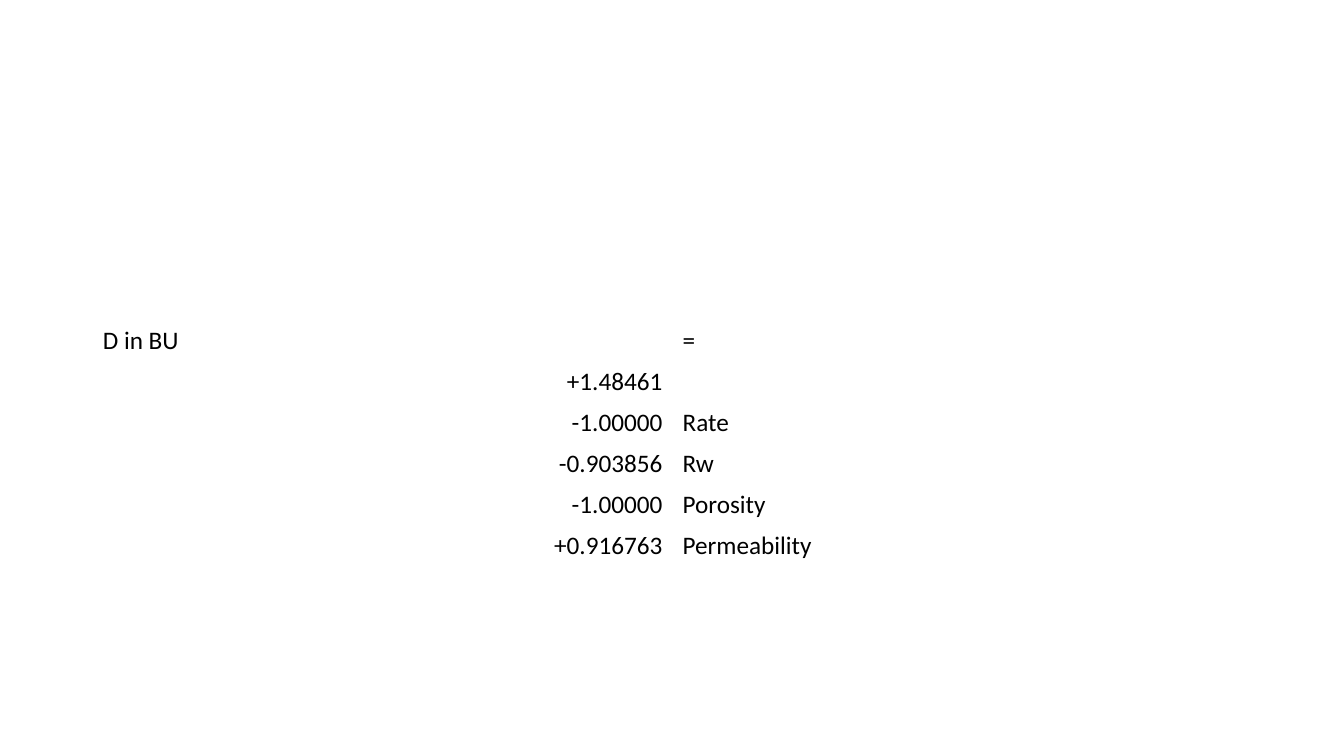
from pptx import Presentation
from pptx.dml.color import RGBColor
from pptx.enum.text import MSO_ANCHOR, PP_ALIGN
from pptx.util import Inches, Pt

# Content: coefficient and the variable it multiplies
HEADING = ("D in BU", "=")
TERMS = [
    ("+1.48461", ""),
    ("-1.00000", "Rate"),
    ("-0.903856", "Rw"),
    ("-1.00000", "Porosity"),
    ("+0.916763", "Permeability"),
]

# Format and grid
BLACK = RGBColor(0x00, 0x00, 0x00)
WHITE = RGBColor(0xFF, 0xFF, 0xFF)
LEFT, TOP = 0.92, 3.18
COLUMN_WIDTH, ROW_HEIGHT = 5.75, 0.4


def write_cell(cell, text, align=PP_ALIGN.LEFT, size=18, color=BLACK, fill=WHITE):
    cell.fill.solid()
    cell.fill.fore_color.rgb = fill
    cell.vertical_anchor = MSO_ANCHOR.MIDDLE
    para = cell.text_frame.paragraphs[0]
    para.alignment = align
    para.font.size = Pt(size)
    if text:
        span = para.add_run()
        span.text = text
        span.font.name = "Calibri"
        span.font.size = Pt(size)
        span.font.bold = False
        span.font.color.rgb = color


# Slide
deck = Presentation()
deck.slide_width, deck.slide_height = Inches(13.33), Inches(7.5)
page = deck.slides.add_slide(deck.slide_layouts[6])

# Equation table
rows = [HEADING] + TERMS
columns = len(HEADING)
table = page.shapes.add_table(
    len(rows), columns, Inches(LEFT), Inches(TOP),
    Inches(columns * COLUMN_WIDTH), Inches(len(rows) * ROW_HEIGHT),
).table
table.first_row = False
table.horz_banding = False

for row_index, (coefficient, variable) in enumerate(rows):
    align = PP_ALIGN.RIGHT if row_index else PP_ALIGN.LEFT
    write_cell(table.cell(row_index, 0), coefficient, align=align)
    write_cell(table.cell(row_index, 1), variable)

deck.save("out.pptx")
